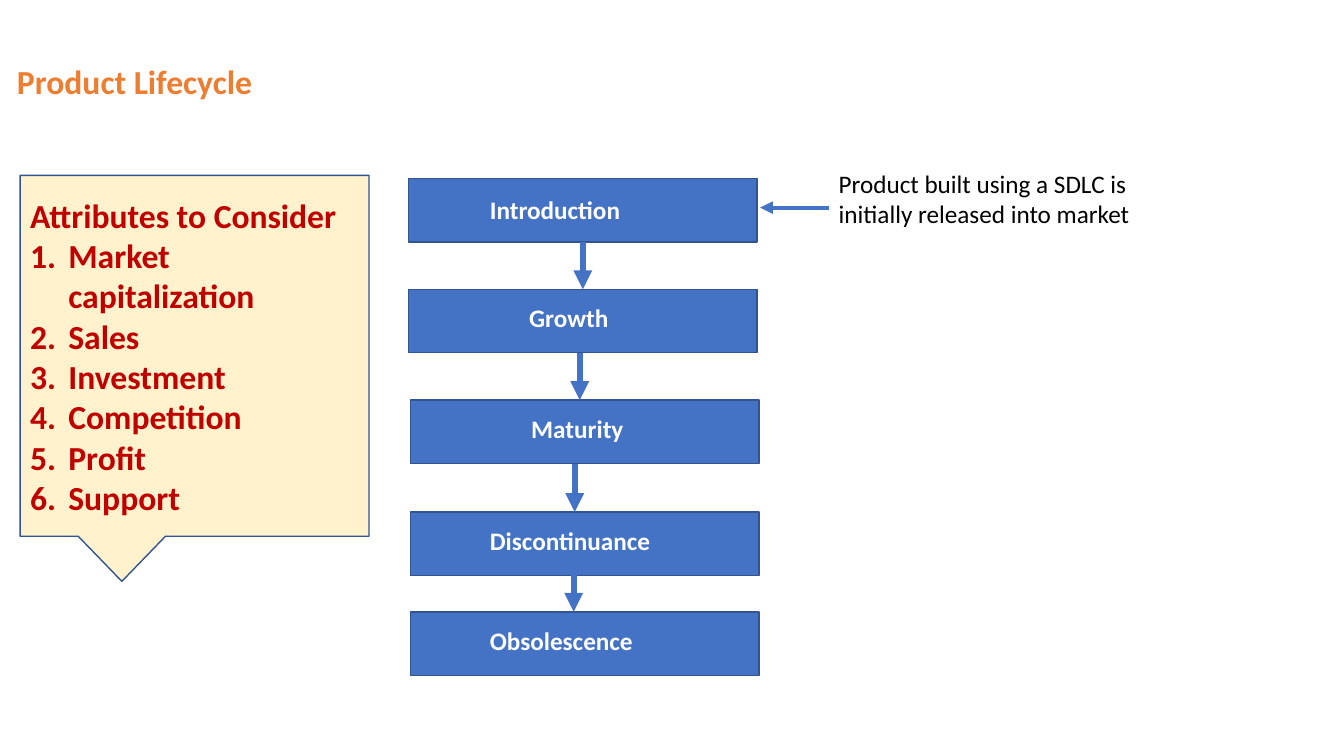
from dataclasses import dataclass

from lxml import etree
from pptx import Presentation
from pptx.dml.color import RGBColor
from pptx.enum import shapes, text
from pptx.oxml import ns
from pptx.util import Inches, Pt


@dataclass(frozen=True)
class Theme:
    """Colours, font and type sizes of the slide."""
    font: str = "Calibri"
    heading: int = 24
    body: int = 18
    orange: str = "ED7D31"
    blue: str = "4472C4"
    outline: str = "325491"
    cream: str = "FFF2CC"
    red: str = "C00000"
    white: str = "FFFFFF"
    black: str = "000000"


THEME = Theme()
STAGES = [
    ("Introduction", 4.05, 1.77, 0.71, 0.11, 1.67),
    ("Growth", 4.05, 2.87, 1.10, 0.08, 1.08),
    ("Maturity", 4.07, 3.97, 1.10, 0.08, 1.19),
    ("Discontinuance", 4.07, 5.08, 0.69, 0.08, 2.10),
    ("Obsolescence", 4.07, 6.07, 0.69, 0.08, 1.98),
]
ARROWS = [(5.78, 2.40), (5.75, 3.50), (5.70, 4.60), (5.69, 5.59)]
ATTRIBUTES = ["Market capitalization", "Sales", "Investment", "Competition", "Profit", "Support"]


def add_run(paragraph, words, size, colour, bold=True):
    """Append one styled, left-aligned run to a paragraph."""
    paragraph.alignment = text.PP_ALIGN.LEFT
    run = paragraph.add_run()
    run.text = words
    run.font.name = THEME.font
    run.font.size = Pt(size)
    run.font.bold = bold
    run.font.color.rgb = RGBColor.from_string(colour)


def add_label(slide, box, words, size, colour, bold=True):
    """Place a wrapping text box with a single run."""
    frame = slide.shapes.add_textbox(*map(Inches, box)).text_frame
    frame.word_wrap = True
    add_run(frame.paragraphs[0], words, size, colour, bold)


def add_panel(slide, preset, box, fill):
    """Place a filled, outlined preset shape without shadow."""
    shape = slide.shapes.add_shape(preset, *map(Inches, box))
    shape.shadow.inherit = False
    shape.fill.solid()
    shape.fill.fore_color.rgb = RGBColor.from_string(fill)
    shape.line.color.rgb = RGBColor.from_string(THEME.outline)
    shape.line.width = Pt(1)
    return shape


def add_arrow(slide, start, end, width):
    """Draw a straight blue arrow from start to end."""
    arrow = slide.shapes.add_connector(shapes.MSO_CONNECTOR.STRAIGHT, *map(Inches, start + end))
    arrow.line.color.rgb = RGBColor.from_string(THEME.blue)
    arrow.line.width = Pt(width)
    etree.SubElement(arrow.line._get_or_add_ln(), ns.qn("a:tailEnd"), type="triangle")
    etree.SubElement(arrow._element.spPr, ns.qn("a:effectLst"))


def number_paragraph(paragraph):
    """Give a paragraph an automatic number and a hanging indent."""
    properties = paragraph._p.get_or_add_pPr()
    properties.set("marL", str(Inches(0.38)))
    properties.set("indent", str(-Inches(0.38)))
    etree.SubElement(properties, ns.qn("a:buFont"), typeface="+mj-lt")
    etree.SubElement(properties, ns.qn("a:buAutoNum"), type="arabicPeriod")


def add_stages(slide, width, height):
    """Build the column of lifecycle stages and the arrows between them."""
    for name, left, top, inset, drop, label_width in STAGES:
        add_panel(slide, shapes.MSO_SHAPE.RECTANGLE, (left, top, width, height), THEME.blue)
        label_box = (left + inset, top + drop, label_width, 0.4)
        add_label(slide, label_box, name, THEME.body, THEME.white)
    for (x, start), stage in zip(ARROWS, STAGES[1:]):
        add_arrow(slide, (x, start), (x, stage[2]), 4.5)


def add_release_note(slide, left, top, width, height):
    """Build the note on release and its arrow to the first stage."""
    add_arrow(slide, (left, top + 0.44), (left - 0.68, top + 0.44), 3)
    add_label(slide, (left, top, width, height),
              "Product built using a SDLC is initially released into market",
              THEME.body, THEME.black, bold=False)


def add_attributes(slide, box):
    """Build the callout with the numbered attributes."""
    callout = add_panel(slide, shapes.MSO_SHAPE.RECTANGULAR_CALLOUT, box, THEME.cream)
    frame = callout.text_frame
    frame.word_wrap = True
    frame.vertical_anchor = text.MSO_ANCHOR.MIDDLE
    add_run(frame.paragraphs[0], "Attributes to Consider", THEME.heading, THEME.red)
    for attribute in ATTRIBUTES:
        paragraph = frame.add_paragraph()
        add_run(paragraph, attribute, THEME.heading, THEME.red)
        number_paragraph(paragraph)


def build_lifecycle_slide(presentation):
    """Add the product lifecycle slide."""
    slide = presentation.slides.add_slide(presentation.slide_layouts[6])
    add_label(slide, (0.07, 0.56, 8.75, 0.5), "Product Lifecycle", THEME.heading, THEME.orange)
    add_stages(slide, 3.46, 0.63)
    add_release_note(slide, 8.22, 1.62, 3.7, 0.71)
    add_attributes(slide, (0.2, 1.74, 3.46, 3.58))


def main():
    """Create and save the presentation."""
    presentation = Presentation()
    presentation.slide_width = Inches(13.33)
    presentation.slide_height = Inches(7.5)
    build_lifecycle_slide(presentation)
    presentation.save("out.pptx")


main()
